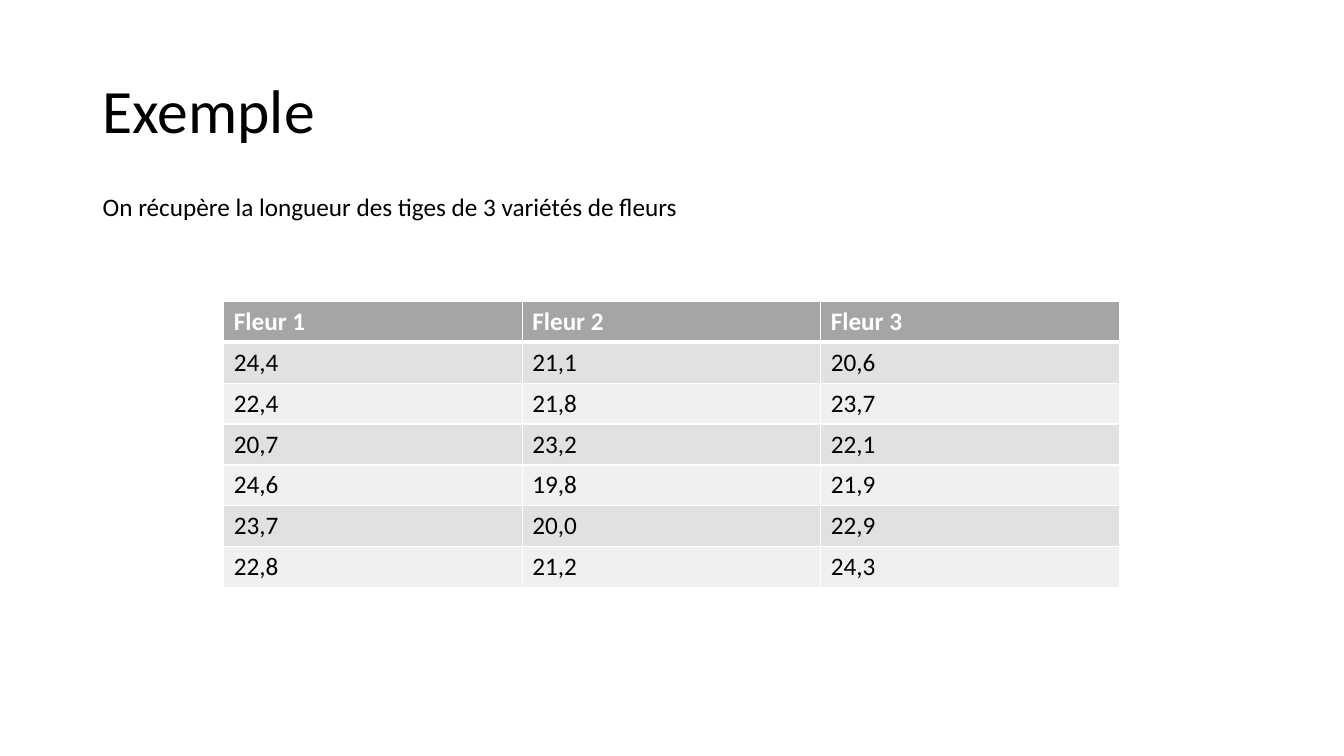
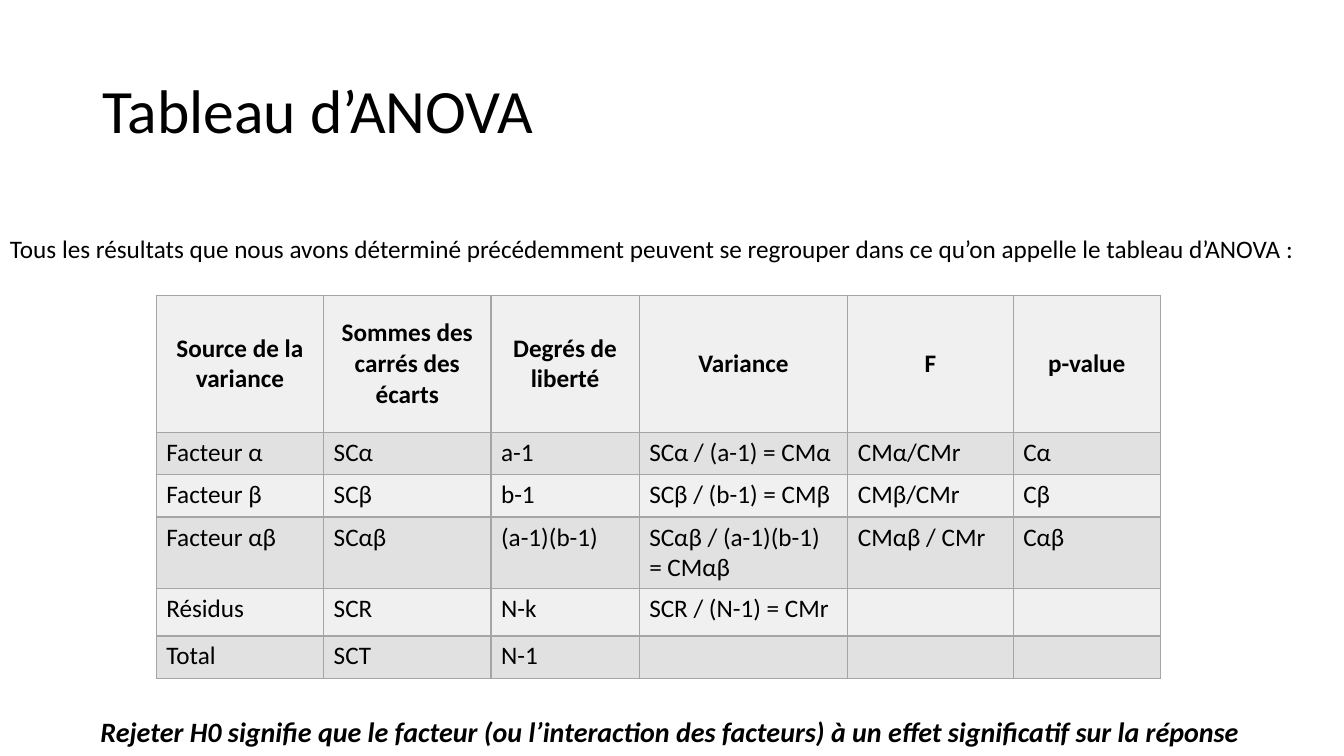
"""Builds two slides on analysis of variance: sample data and the ANOVA table."""
from lxml import etree
from pptx import Presentation
from pptx import util as u
from pptx.dml.color import RGBColor
from pptx.enum import text
from pptx.oxml import ns

FONT = "Calibri"
BLACK, WHITE, GREY = "000000", "FFFFFF", "A5A5A5"
BANDS = ["F0F0F0", "E1E1E1"]
LEFT, CENTER = text.PP_ALIGN.LEFT, text.PP_ALIGN.CENTER
TOP, MIDDLE = text.MSO_ANCHOR.TOP, text.MSO_ANCHOR.MIDDLE


def write(frame, words, size=18, color=BLACK, bold=False, align=LEFT):
    frame.word_wrap = True
    para = frame.paragraphs[0]
    para.text = words
    para.alignment = align
    para.font.name = FONT
    para.font.size = u.Pt(size)
    para.font.bold = bold
    para.font.color.rgb = RGBColor.from_string(color)
    return para


def add_grid(page, place, widths, heights, rows, border, header):
    frame = page.shapes.add_table(len(rows), len(widths), *map(u.Inches, place))
    table = frame.table
    table.first_row = table.horz_banding = False
    for column, width in zip(table.columns, widths):
        column.width = u.Inches(width)
    for row, height in zip(table.rows, heights):
        row.height = u.Inches(height)
    for i, row in enumerate(rows):
        style = header if i == 0 else {}
        for j, words in enumerate(row):
            cell = table.cell(i, j)
            write(cell.text_frame, words, color=style.get("color", BLACK),
                  bold=i == 0, align=style.get("align", LEFT))
            cell.vertical_anchor = style.get("anchor", TOP)
            rule = header.get("rule", 1)
            edges = {"lnL": 1, "lnR": 1, "lnT": rule if i == 1 else 1,
                     "lnB": rule if i == 0 else 1}
            for edge, points in edges.items():
                line = etree.SubElement(cell._tc.get_or_add_tcPr(), ns.qn(f"a:{edge}"),
                                        w=str(u.Pt(points)))
                fill = etree.SubElement(line, ns.qn("a:solidFill"))
                etree.SubElement(fill, ns.qn("a:srgbClr"), val=border)
            cell.fill.solid()
            cell.fill.fore_color.rgb = RGBColor.from_string(style.get("fill", BANDS[i % 2]))


deck = Presentation()
deck.slide_width, deck.slide_height = u.Inches(13.33), u.Inches(7.5)

pages = []
for title in ["Exemple", "Tableau d’ANOVA"]:
    page = deck.slides.add_slide(deck.slide_layouts[6])
    box = page.shapes.add_textbox(*map(u.Inches, (0.92, 0.4, 11.5, 1.45)))
    box.text_frame.vertical_anchor = MIDDLE
    write(box.text_frame, title, size=44).line_spacing = 0.9
    pages.append(page)
sample_page, anova_page = pages

flowers = [
    ["Fleur 1", "Fleur 2", "Fleur 3"],
    ["24,4", "21,1", "20,6"],
    ["22,4", "21,8", "23,7"],
    ["20,7", "23,2", "22,1"],
    ["24,6", "19,8", "21,9"],
    ["23,7", "20,0", "22,9"],
    ["22,8", "21,2", "24,3"],
]
add_grid(sample_page, (2.22, 2.99, 8.89, 2.84), [2.96] * 3, [2.84 / 7] * 7, flowers, WHITE,
         {"fill": GREY, "color": WHITE, "rule": 3})

anova = [
    ["Source de la variance", "Sommes des\vcarrés des écarts", "Degrés de liberté",
     "Variance", "F", "p-value"],
    ["Facteur α", "SCα", "a-1", "SCα / (a-1) = CMα", "CMα/CMr", "Cα"],
    ["Facteur β", "SCβ", "b-1", "SCβ / (b-1) = CMβ", "CMβ/CMr", "Cβ"],
    ["Facteur αβ", "SCαβ", "(a-1)(b-1)", "SCαβ / (a-1)(b-1) = CMαβ", "CMαβ / CMr", "Cαβ"],
    ["Résidus", "SCR", "N-k", "SCR / (N-1) = CMr", "", ""],
    ["Total", "SCT", "N-1", "", "", ""],
]
add_grid(anova_page, (1.55, 2.93, 9.98, 3.8), [1.66, 1.66, 1.47, 2.07, 1.64, 1.46],
         [1.36, 0.42, 0.42, 0.71, 0.47, 0.42], anova, GREY,
         {"align": CENTER, "anchor": MIDDLE})

notes = [
    (sample_page, (0.92, 1.85, 6.52, 0.4),
     "On récupère la longueur des tiges de 3 variétés de fleurs"),
    (anova_page, (0, 2.27, 13.08, 0.4),
     "Tous les résultats que nous avons déterminé précédemment peuvent se regrouper "
     "dans ce qu’on appelle le tableau d’ANOVA :"),
]
for page, place, words in notes:
    box = page.shapes.add_textbox(*map(u.Inches, place))
    write(box.text_frame, words)

box = anova_page.shapes.add_textbox(*map(u.Inches, (0.39, 7.04, 12.51, 0.44)))
conclusion = write(
    box.text_frame,
    "Rejeter H0 signifie que le facteur (ou l’interaction des facteurs) "
    "à un effet significatif sur la réponse",
    size=20, bold=True, align=CENTER)
conclusion.font.italic = True

deck.save("out.pptx")
